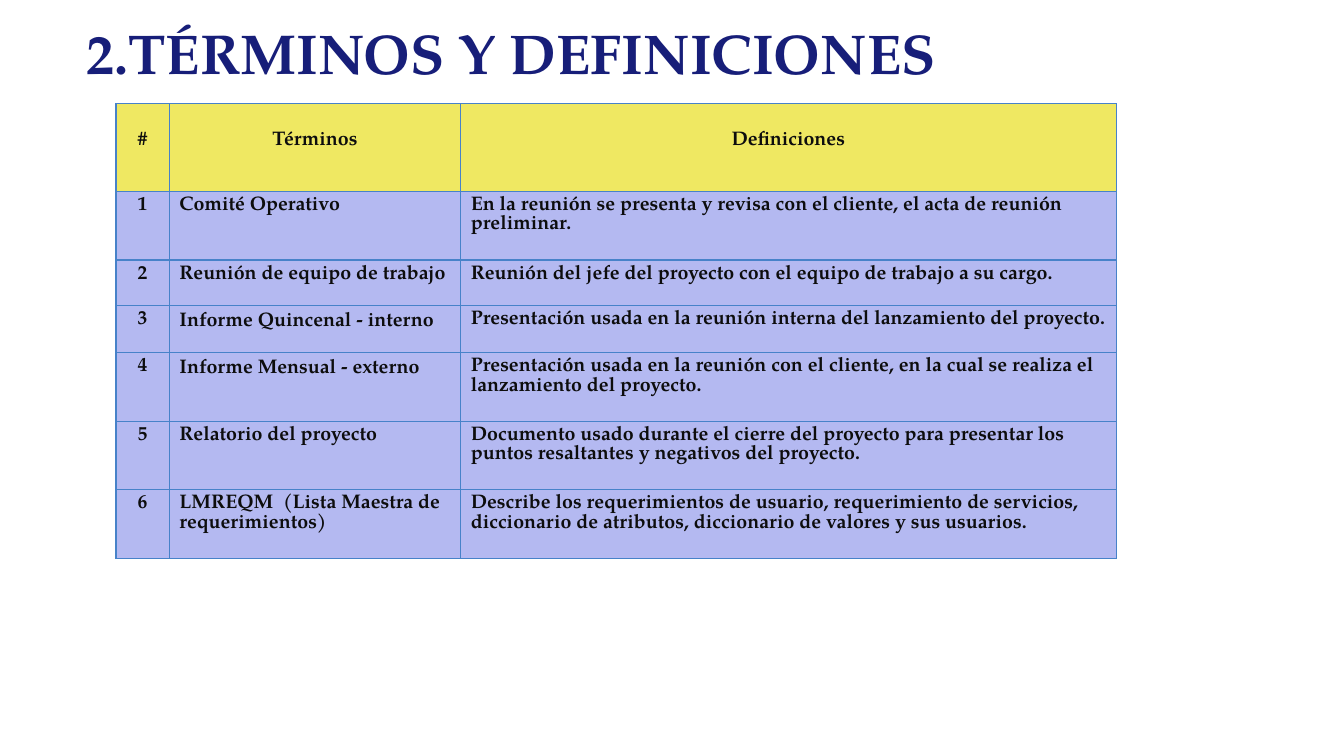
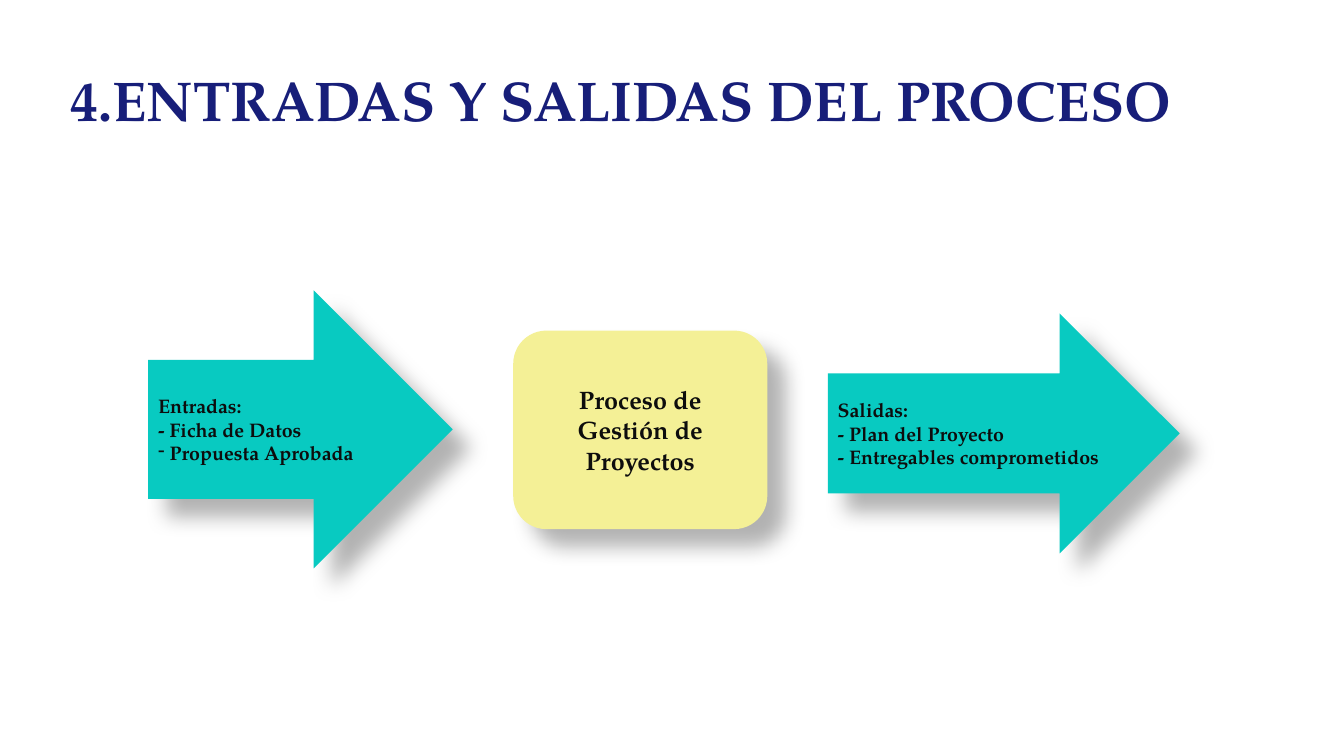
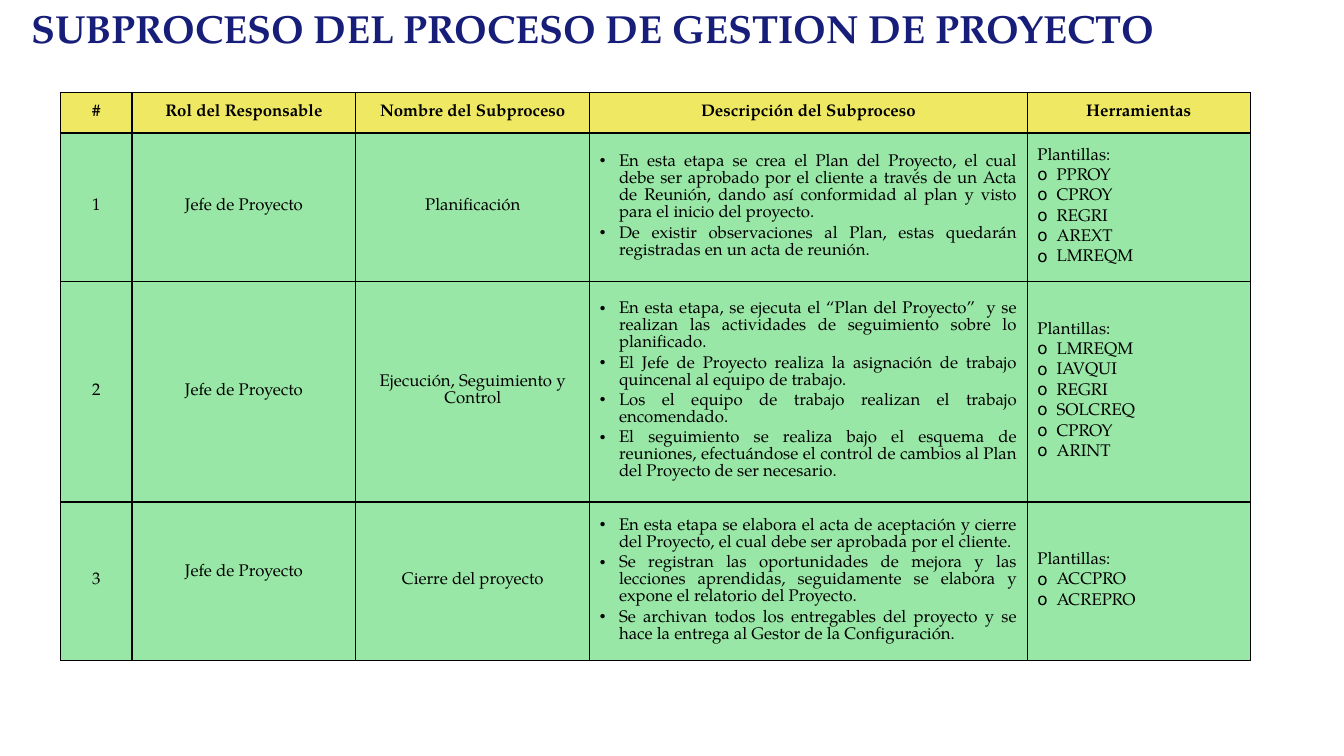
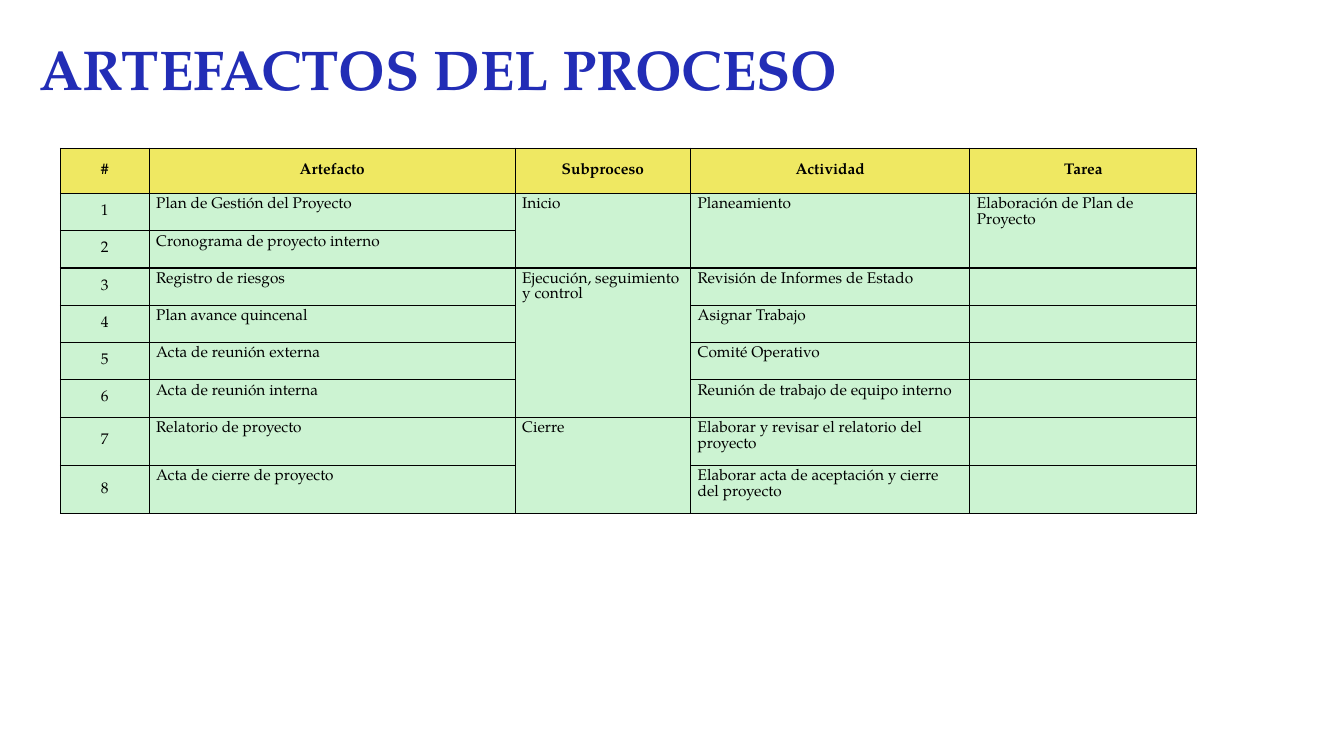
"""Build four slides about a project management process: terms, flow, subprocesses and artefacts."""
from lxml.etree import SubElement
from pptx import Presentation
from pptx.dml.color import RGBColor
from pptx.enum.shapes import MSO_SHAPE
from pptx.enum.text import MSO_ANCHOR, MSO_AUTO_SIZE, PP_ALIGN
from pptx.oxml.ns import qn
from pptx.util import Inches, Pt

FONT = "TeX Gyre Pagella"
NAVY, BLUE, INK, BLACK = "171E79", "222DB6", "0D0D0D", "000000"
YELLOW, CREAM, TEAL = "EFE862", "F4F096", "08CAC1"
LILAC, GREEN, MINT, STEEL = "B4B9F1", "99E7A6", "CCF3D2", "4782C9"
ALIGN = {"l": PP_ALIGN.LEFT, "c": PP_ALIGN.CENTER, "j": PP_ALIGN.JUSTIFY}
ANCHOR = {"t": MSO_ANCHOR.TOP, "m": MSO_ANCHOR.MIDDLE}


def paint(fill, colour):
    """Give a shape, cell, line or font fill one solid colour."""
    fill.solid()
    fill.fore_color.rgb = RGBColor.from_string(colour)


def write(paragraph, text, size, colour, bold, align="l", bullet="", indent=0):
    """Write the lines of a text into a paragraph, with an optional bullet."""
    paragraph.alignment = ALIGN[align]
    for number, line in enumerate(text.split("\n")):
        if number:
            paragraph.add_line_break()
        run = paragraph.add_run()
        run.text = line
        run.font.name, run.font.size, run.font.bold = FONT, Pt(size), bold
        paint(run.font.fill, colour)
    if bullet:
        properties = paragraph._p.get_or_add_pPr()
        properties.set("marL", str(Inches(indent)))
        properties.set("indent", str(-Inches(indent)))
        SubElement(properties, qn("a:buChar")).set("char", bullet)


deck = Presentation()
deck.slide_width, deck.slide_height = Inches(13.33), Inches(7.5)

headings = [
    ("2.TÉRMINOS Y DEFINICIONES", (0.76, 0.13, 11.73, 0.77), 40, NAVY),
    ("4.ENTRADAS Y SALIDAS DEL PROCESO", (0.6, 0.6, 11.73, 1.45), 40, NAVY),
    ("SUBPROCESO DEL PROCESO DE GESTION DE PROYECTO", (0.21, -0.01, 12.13, 1.25), 28, NAVY),
    ("ARTEFACTOS DEL PROCESO", (0.29, 0.29, 12.13, 1.45), 40, BLUE),
]
slides = []
for heading, place, size, colour in headings:
    slide = deck.slides.add_slide(deck.slide_layouts[5])
    title = slide.shapes.title
    title.left, title.top, title.width, title.height = map(Inches, place)
    frame = title.text_frame
    frame.word_wrap, frame.auto_size = True, MSO_AUTO_SIZE.NONE
    frame.vertical_anchor = MSO_ANCHOR.TOP
    write(frame.paragraphs[0], heading, size, colour, True)
    frame.paragraphs[0].line_spacing = Pt(1.2 * size)
    slides.append(slide)
terms_slide, flow_slide, subprocess_slide, artefact_slide = slides

flow = [
    (MSO_SHAPE.RIGHT_ARROW, (1.47, 2.88, 3.02, 2.76), TEAL, 14, "l",
     [("Entradas:\n- Ficha de Datos", ""), (" Propuesta Aprobada", "-")]),
    (MSO_SHAPE.ROUNDED_RECTANGLE, (5.09, 3.28, 2.52, 1.97), CREAM, 18, "c",
     [("Proceso de Gestión de Proyectos", "")]),
    (MSO_SHAPE.RIGHT_ARROW, (8.21, 3.11, 3.49, 2.38), TEAL, 14, "l",
     [("Salidas:\n- Plan del Proyecto", ""), ("- Entregables comprometidos", "")]),
]
for preset, place, colour, size, align, lines in flow:
    step = flow_slide.shapes.add_shape(preset, *map(Inches, place))
    paint(step.fill, colour)
    step.line.fill.background()
    step.shadow.inherit = False
    shadow = SubElement(step._element.spPr.find(qn("a:effectLst")), qn("a:outerShdw"),
                        blurRad=str(Pt(15)), dist=str(Pt(18)), dir=str(45 * 60000),
                        algn="ctr", rotWithShape="0")
    shade = SubElement(shadow, qn("a:srgbClr"), val=BLACK)
    SubElement(shade, qn("a:alpha"), val="30000")
    frame = step.text_frame
    frame.word_wrap, frame.vertical_anchor = True, MSO_ANCHOR.MIDDLE
    for number, (text, bullet) in enumerate(lines):
        paragraph = frame.add_paragraph() if number else frame.paragraphs[0]
        write(paragraph, text, size, INK, True, align, bullet)
        paragraph.line_spacing = Pt(1.2 * size)

terms = [
    ["#", "Términos", "Definiciones"],
    ["1", "Comité Operativo",
     "En la reunión se presenta y revisa con el cliente, el acta de reunión preliminar."],
    ["2", "Reunión de equipo de trabajo",
     "Reunión del jefe del proyecto con el equipo de trabajo a su cargo."],
    ["3", "Informe Quincenal - interno",
     "Presentación usada en la reunión interna del lanzamiento del proyecto."],
    ["4", "Informe Mensual - externo",
     "Presentación usada en la reunión con el cliente, en la cual se realiza el lanzamiento del proyecto."],
    ["5", "Relatorio del proyecto",
     "Documento usado durante el cierre del proyecto para presentar los puntos resaltantes y negativos del proyecto."],
    ["6", "LMREQM  (Lista Maestra de requerimientos)",
     "Describe los requerimientos de usuario, requerimiento de servicios, diccionario de atributos, "
     "diccionario de valores y sus usuarios."],
]
subprocesses = [
    ["#", "Rol del Responsable", "Nombre del Subproceso", "Descripción del Subproceso", "Herramientas"],
    ["1", "Jefe de Proyecto", "Planificación",
     "En esta etapa se crea el Plan del Proyecto, el cual debe ser aprobado por el cliente a través de un "
     "Acta de Reunión, dando así conformidad al plan y visto para el inicio del proyecto.\n"
     "De existir observaciones al Plan, estas quedarán registradas en un acta de reunión.",
     "Plantillas:\nPPROY\nCPROY\nREGRI\nAREXT\nLMREQM"],
    ["2", "Jefe de Proyecto", "Ejecución, Seguimiento y Control",
     "En esta etapa, se ejecuta el “Plan del Proyecto”  y se realizan las actividades de seguimiento "
     "sobre lo planificado.\n"
     "El Jefe de Proyecto realiza la asignación de trabajo quincenal al equipo de trabajo.\n"
     "Los el equipo de trabajo realizan el trabajo encomendado.\n"
     "El seguimiento se realiza bajo el esquema de reuniones, efectuándose el control de cambios al "
     "Plan del Proyecto de ser necesario.",
     "Plantillas:\nLMREQM\nIAVQUI\nREGRI\nSOLCREQ\nCPROY\nARINT"],
    ["3", "Jefe de Proyecto", "Cierre del proyecto",
     "En esta etapa se elabora el acta de aceptación y cierre del Proyecto, el cual debe ser aprobada "
     "por el cliente.\n"
     "Se registran las oportunidades de mejora y las lecciones aprendidas, seguidamente se elabora y "
     "expone el relatorio del Proyecto.\n"
     "Se archivan todos los entregables del proyecto y se hace la entrega al Gestor de la Configuración.",
     "Plantillas:\nACCPRO\nACREPRO"],
]
artefacts = [
    ["#", "Artefacto", "Subproceso", "Actividad", "Tarea"],
    ["1", "Plan de Gestión del Proyecto", "Inicio", "Planeamiento", "Elaboración de Plan de Proyecto"],
    ["2", "Cronograma de proyecto interno", "", "", ""],
    ["3", "Registro de riesgos", "Ejecución, seguimiento y control", "Revisión de Informes de Estado", ""],
    ["4", "Plan avance quincenal", "", "Asignar Trabajo", ""],
    ["5", "Acta de reunión externa", "", "Comité Operativo", ""],
    ["6", "Acta de reunión interna", "", "Reunión de trabajo de equipo interno", ""],
    ["7", "Relatorio de proyecto", "Cierre", "Elaborar y revisar el relatorio del proyecto", ""],
    ["8", "Acta de cierre de proyecto", "", "Elaborar acta de aceptación y cierre del proyecto", ""],
]
grids = [
    dict(slide=terms_slide, rows=terms, corner=(1.15, 1.03), widths=[0.53, 2.89, 6.5],
         heights=[0.87, 0.68, 0.45, 0.47, 0.68, 0.68, 0.68], size=14, ink=INK, bold=True,
         body=LILAC, border=STEEL, aligns="cll", anchors="ttt", margins=(0.1, 0.05)),
    dict(slide=subprocess_slide, rows=subprocesses, corner=(0.6, 0.92),
         widths=[0.71, 2.22, 2.32, 4.34, 2.21], heights=[0.4, 1.47, 2.19, 1.57], size=12, ink=BLACK,
         bold=False, body=GREEN, border=BLACK, aligns="cccjl", anchors="mmmmm", margins=(0.1, 0.05),
         bullets={3: "•", 4: "o"}),
    dict(slide=artefact_slide, rows=artefacts, corner=(0.6, 1.47),
         widths=[0.88, 3.63, 1.74, 2.77, 2.25], heights=[0.45] + [0.37] * 6 + [0.48] * 2, size=11,
         ink=BLACK, bold=False, body=MINT, border=BLACK, aligns="cllll", anchors="mtttt",
         margins=(0.07, 0.04)),
]
tables = []
for grid in grids:
    rows, widths, heights, size = grid["rows"], grid["widths"], grid["heights"], grid["size"]
    table = grid["slide"].shapes.add_table(
        len(rows), len(widths), *map(Inches, grid["corner"]),
        Inches(sum(widths)), Inches(sum(heights))).table
    table.first_row = table.horz_banding = False
    for column, width in zip(table.columns, widths):
        column.width = Inches(width)
    for row, height in zip(table.rows, heights):
        row.height = Inches(height)
    for r, texts in enumerate(rows):
        for c, text in enumerate(texts):
            cell = table.cell(r, c)
            side, edge = map(Inches, grid["margins"])
            cell.margin_left = cell.margin_right = side
            cell.margin_top = cell.margin_bottom = edge
            cell.vertical_anchor = ANCHOR[grid["anchors"][c] if r else "m"]
            for tag in ("a:lnL", "a:lnR", "a:lnT", "a:lnB"):
                border = SubElement(cell._tc.get_or_add_tcPr(), qn(tag), w=str(Pt(1)))
                SubElement(SubElement(border, qn("a:solidFill")), qn("a:srgbClr"), val=grid["border"])
            paint(cell.fill, grid["body"] if r else YELLOW)
            if not text:
                SubElement(cell.text_frame.paragraphs[0]._p, qn("a:endParaRPr"), sz=str(size * 100))
                continue
            for number, line in enumerate(text.split("\n")):
                paragraph = cell.text_frame.add_paragraph() if number else cell.text_frame.paragraphs[0]
                bullet = grid.get("bullets", {}).get(c, "") if r and not line.endswith(":") else ""
                write(paragraph, line, size, grid["ink"], grid["bold"] or r == 0,
                      grid["aligns"][c] if r else "c", bullet, 0.19)
                if number:
                    paragraph.space_before = Pt(0.2 * size)
    tables.append(table)
terms_table, subprocess_table, artefact_table = tables

for heading in terms_table.rows[0].cells:
    heading.vertical_anchor, heading.margin_top = MSO_ANCHOR.TOP, Inches(0.27)
for report in (3, 4):
    terms_table.cell(report, 1).text_frame.paragraphs[0].line_spacing = 1.1
subprocess_table.cell(3, 1).margin_bottom = Inches(0.21)
for column, first, last in [(2, 1, 2), (3, 1, 2), (4, 1, 2), (2, 3, 6), (2, 7, 8)]:
    artefact_table.cell(first, column).merge(artefact_table.cell(last, column))

deck.save("out.pptx")
